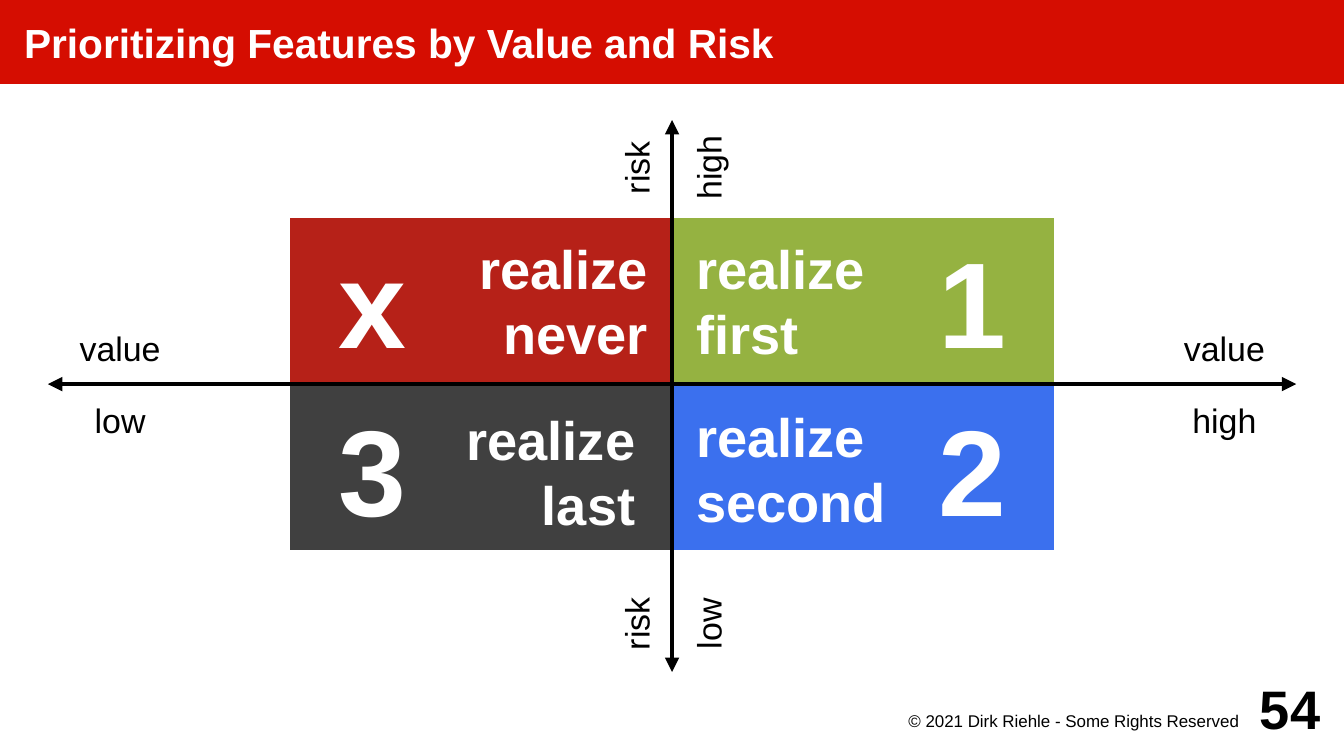
from dataclasses import dataclass

from lxml.etree import SubElement
from pptx import Presentation
from pptx.dml.color import RGBColor
from pptx.enum.shapes import MSO_CONNECTOR as Connector, MSO_SHAPE as Preset
from pptx.enum.text import MSO_ANCHOR as Anchor, PP_ALIGN as Align
from pptx.oxml.ns import qn
from pptx.util import Pt


@dataclass(frozen=True)
class Theme:
    font: str = "Arial"
    white: str = "FFFFFF"
    black: str = "000000"
    banner: str = "D50D01"
    never: str = "B62118"
    first: str = "95B241"
    last: str = "404040"
    second: str = "3B70EE"
    title_size: float = 24
    rank_size: float = 72
    advice_size: float = 32
    label_size: float = 20
    note_size: float = 10
    line_width: float = 2.83


class SlideBuilder:
    def __init__(self, slide, theme):
        self.shapes = slide.shapes
        self.theme = theme

    def set_text(self, shape, lines, size, color, bold=False, align=Align.LEFT,
                 insets=(0, 0, 0, 0), anchor=Anchor.MIDDLE):
        """Fill a shape with one paragraph per line; insets are left, top, right, bottom."""
        frame = shape.text_frame
        frame.word_wrap = True
        frame.vertical_anchor = anchor
        (frame.margin_left, frame.margin_top,
         frame.margin_right, frame.margin_bottom) = map(Pt, insets)
        frame.text = "\n".join(lines)
        for para in frame.paragraphs:
            para.alignment = align
            para.font.name = self.theme.font
            para.font.size = Pt(size)
            para.font.bold = bold
            para.font.color.rgb = RGBColor.from_string(color)

    def text(self, bounds, content, size, color, **style):
        box = self.shapes.add_textbox(*map(Pt, bounds))
        self.set_text(box, [content], size, color, **style)
        return box

    def rectangle(self, bounds, fill, outline=None):
        shape = self.shapes.add_shape(Preset.RECTANGLE, *map(Pt, bounds))
        shape.shadow.inherit = False
        shape.fill.solid()
        shape.fill.fore_color.rgb = RGBColor.from_string(fill)
        if outline:
            shape.line.color.rgb = RGBColor.from_string(outline)
            shape.line.width = Pt(self.theme.line_width)
        else:
            shape.line.fill.background()
        return shape

    def axis(self, *ends):
        """Draw a line with an arrowhead at both ends."""
        line = self.shapes.add_connector(Connector.STRAIGHT, *map(Pt, ends))
        line.line.color.rgb = RGBColor.from_string(self.theme.black)
        line.line.width = Pt(self.theme.line_width)
        properties = line.element.spPr
        outline = properties.find(qn("a:ln"))
        for end in ("a:headEnd", "a:tailEnd"):
            SubElement(outline, qn(end), type="triangle")
        SubElement(properties, qn("a:effectLst"))

    def axis_label(self, content, center_x, center_y, width, rotation=0):
        height = 42.5
        bounds = (center_x - width / 2, center_y - height / 2, width, height)
        box = self.text(bounds, content, self.theme.label_size, self.theme.black,
                        align=Align.CENTER, insets=(5.7,) * 4)
        box.rotation = rotation


def main():
    theme = Theme()
    deck = Presentation()
    page_width, page_height = 793.5, 446.4
    deck.slide_width, deck.slide_height = Pt(page_width), Pt(page_height)
    page = SlideBuilder(deck.slides.add_slide(deck.slide_layouts[6]), theme)

    banner = page.rectangle((0, 0, page_width, 49.6), theme.banner)
    page.set_text(banner, ["Prioritizing Features by Value and Risk"],
                  theme.title_size, theme.white, bold=True, insets=(14.2, 0, 0, 0))

    center_x, center_y = 396.8, 226.8
    cell_width, cell_height = 226.8, 99.2
    # column, row, rank, advice, fill, side inset, top inset
    quadrants = [
        (1, 1, "2", "second", theme.second, 14.2, 5.7),
        (1, 0, "1", "first", theme.first, 14.2, 5.7),
        (0, 0, "x", "never", theme.never, 14.2, 5.7),
        (0, 1, "3", "last", theme.last, 21.6, 9.3),
    ]
    for column, row, rank, advice, fill, side, top_inset in quadrants:
        left = center_x + (column - 1) * cell_width
        top = center_y + (row - 1) * cell_height
        cell = page.rectangle((left, top, cell_width, cell_height), fill, theme.white)
        page.set_text(cell, ["realize", advice], theme.advice_size, theme.white, bold=True,
                      align=Align.LEFT if column else Align.RIGHT,
                      insets=(side, top_inset, side, 5.7))
        rank_left = left + column * (cell_width - cell_height)
        page.text((rank_left, top, cell_height, cell_height), rank,
                  theme.rank_size, theme.white, bold=True, align=Align.CENTER)

    page.axis(center_x, 396.8, center_x, 70.9)
    page.axis(28.3, center_y, 765.3, center_y)

    label_gap = 21.25
    for x, level in ((70.9, "low"), (722.9, "high")):
        page.axis_label("value", x, center_y - label_gap, 85)
        page.axis_label(level, x, center_y + label_gap, 85)
    for y, level in ((99, "high"), (368.3, "low")):
        page.axis_label("risk", center_x - label_gap, y, 56.7, rotation=270)
        page.axis_label(level, center_x + label_gap, y, 56.7, rotation=270)

    page.text((510.2, 418.2, 226.8, 21.6), "© 2021 Dirk Riehle - Some Rights Reserved",
              theme.note_size, theme.black, align=Align.RIGHT,
              insets=(0, 1.4, 5.7, 0), anchor=Anchor.TOP)
    page.text((722.8, 396.8, 56.7, 42.5), "54", theme.advice_size, theme.black,
              bold=True, align=Align.RIGHT)
    deck.save("out.pptx")


if __name__ == "__main__":
    main()
